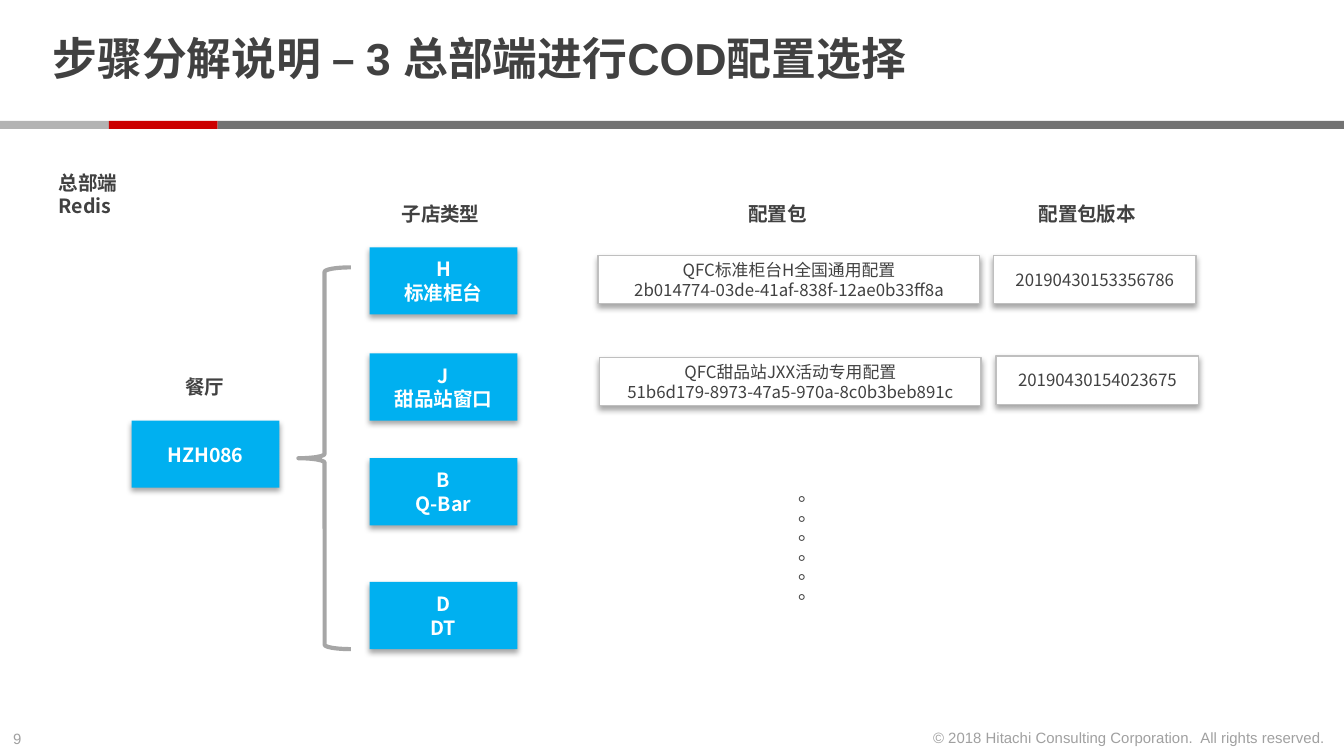
from dataclasses import dataclass
from lxml.etree import SubElement
from pptx import Presentation
from pptx.dml.color import RGBColor
from pptx.enum.shapes import MSO_SHAPE
from pptx.enum.text import MSO_ANCHOR, MSO_AUTO_SIZE, PP_ALIGN
from pptx.oxml.ns import qn
from pptx.util import Inches, Pt


@dataclass(frozen=True)
class Theme:
    latin: str = "Arial"
    cjk: str = "Noto Sans CJK SC"
    ink: str = "414141"
    pale: str = "A0A0A0"
    white: str = "FFFFFF"
    blue: str = "00B0F0"
    edge: str = "BFBFBF"
    brace: str = "A6A6A6"
    title: float = 24
    label: float = 10.5
    small: float = 9
    foot: float = 8


T = Theme()
WIDE = 10
HIGH = WIDE * 9 / 16

TITLE = "步骤分解说明 – 3 总部端进行COD配置选择"
PAGE = "9"
RIGHTS = "© 2018 Hitachi Consulting Corporation.\u00a0 All rights reserved."
BANDS = [(0, "B3B3B3"), (0.81, "CC0000"), (1.62, "737373")]

STORE = "HZH086"
TYPES = [
    (1.84, "H\n标准柜台"),
    (2.63, "J\n甜品站窗口"),
    (3.41, "B\nQ-Bar"),
    (4.33, "D\nDT"),
]
PACKS = [
    ("QFC标准柜台H全国通用配置\n2b014774-03de-41af-838f-12ae0b33ff8a", "20190430153356786"),
    ("QFC甜品站JXX活动专用配置\n51b6d179-8973-47a5-970a-8c0b3beb891c", "20190430154023675"),
]
HEAD = 1.45
LABELS = [
    ("总部端Redis", 0.34, 1.22, 0.82, 0.45),
    ("餐厅", 1.28, 2.74, 0.62, 0.28),
    ("子店类型", 2.89, HEAD, 0.82, 0.28),
    ("配置包", 5.47, HEAD, 0.82, 0.28),
    ("配置包版本", 7.63, HEAD, 1.03, 0.28),
]
MORE = "。" * 6

BOX = (1.1, 0.5)
TYPE_X = 2.75
CARD_Y, CARD_H = 1.9, 0.36
# left, width, shift right per row, step down per row
COLUMNS = [(4.45, 2.84, 0.01, 0.76), (7.39, 1.51, 0.02, 0.75)]


def rgb(code):
    return RGBColor.from_string(code)


def write(frame, text, size, color, bold=False, face=T.cjk, align=None):
    frame.text = text
    for para in frame.paragraphs:
        if align is not None:
            para.alignment = align
        for run in para.runs:
            font = run.font
            font.size, font.bold, font.name = Pt(size), bold, face
            font.color.rgb = rgb(color)
            SubElement(run._r.get_or_add_rPr(), qn("a:ea"), typeface=T.cjk)


def cast(shape):
    """Add a soft shadow straight below the shape."""
    fx = shape._element.spPr.find(qn("a:effectLst"))
    drop = SubElement(fx, qn("a:outerShdw"), blurRad="39400", dist="22900",
                      dir="5400000", rotWithShape="0")
    tint = SubElement(drop, qn("a:srgbClr"), val="000000")
    SubElement(tint, qn("a:alpha"), val="35000")


def draw(slide, kind, x, y, w, h, fill=None, line=None, weight=0.75):
    shape = slide.shapes.add_shape(kind, *map(Inches, (x, y, w, h)))
    shape.shadow.inherit = False
    if fill:
        shape.fill.solid()
        shape.fill.fore_color.rgb = rgb(fill)
    else:
        shape.fill.background()
    if line:
        shape.line.color.rgb = rgb(line)
        shape.line.width = Pt(weight)
    else:
        shape.line.fill.background()
    return shape


def card(slide, text, x, y, w, h, solid):
    """Draw a shadowed box: solid blue, or white with a thin edge."""
    fill, line = (T.blue, None) if solid else (T.white, T.edge)
    shape = draw(slide, MSO_SHAPE.RECTANGLE, x, y, w, h, fill, line)
    cast(shape)
    frame = shape.text_frame
    frame.vertical_anchor = MSO_ANCHOR.MIDDLE
    size, color = (T.label, T.white) if solid else (T.small, T.ink)
    write(frame, text, size, color, solid, align=PP_ALIGN.CENTER)


def note(slide, text, x, y, w, h, size, color, wrap=True, **style):
    frame = slide.shapes.add_textbox(*map(Inches, (x, y, w, h))).text_frame
    frame.word_wrap = wrap
    write(frame, text, size, color, **style)
    return frame


def head(slide):
    title = slide.shapes.title
    title.left, title.top, title.width, title.height = map(
        Inches, (0.29, 0.06, 7.71, 0.8))
    frame = title.text_frame
    frame.margin_top = frame.margin_bottom = 0
    frame.vertical_anchor = MSO_ANCHOR.MIDDLE
    frame.auto_size = MSO_AUTO_SIZE.NONE
    write(frame, TITLE, T.title, T.ink, True, T.latin, PP_ALIGN.LEFT)
    frame.paragraphs[0].line_spacing = 0.85
    ends = [x for x, _ in BANDS[1:]] + [WIDE]
    for (x, color), end in zip(BANDS, ends):
        draw(slide, MSO_SHAPE.RECTANGLE, x, 0.9, end - x, 0.06, color)


def main():
    deck = Presentation()
    deck.slide_width, deck.slide_height = Inches(WIDE), Inches(HIGH)
    slide = deck.slides.add_slide(deck.slide_layouts[5])
    head(slide)

    card(slide, STORE, 0.98, 3.13, *BOX, True)
    draw(slide, MSO_SHAPE.LEFT_BRACE, 2.22, 1.99, 0.39, 2.84,
         line=T.brace, weight=2.25)
    for y, text in TYPES:
        card(slide, text, TYPE_X, y, *BOX, True)
    for row, pack in enumerate(PACKS):
        for text, (x, w, shift, step) in zip(pack, COLUMNS):
            card(slide, text, x + row * shift, CARD_Y + row * step,
                 w, CARD_H, False)

    for text, *place in LABELS:
        note(slide, text, *place, T.label, T.ink, bold=True)
    more = note(slide, MORE, 5.68, 3.59, 0.38, 1.09, T.label, T.ink, face=T.latin)
    more._txBody.bodyPr.set("vert", "eaVert")

    note(slide, PAGE, 0, 5.38, 0.34, 0.24, T.foot, T.pale, False, face=T.latin)
    note(slide, RIGHTS, 6.8, 5.37, 3.16, 0.24, T.foot, T.pale, False,
         face=T.latin, align=PP_ALIGN.RIGHT)
    deck.save("out.pptx")


if __name__ == "__main__":
    main()
